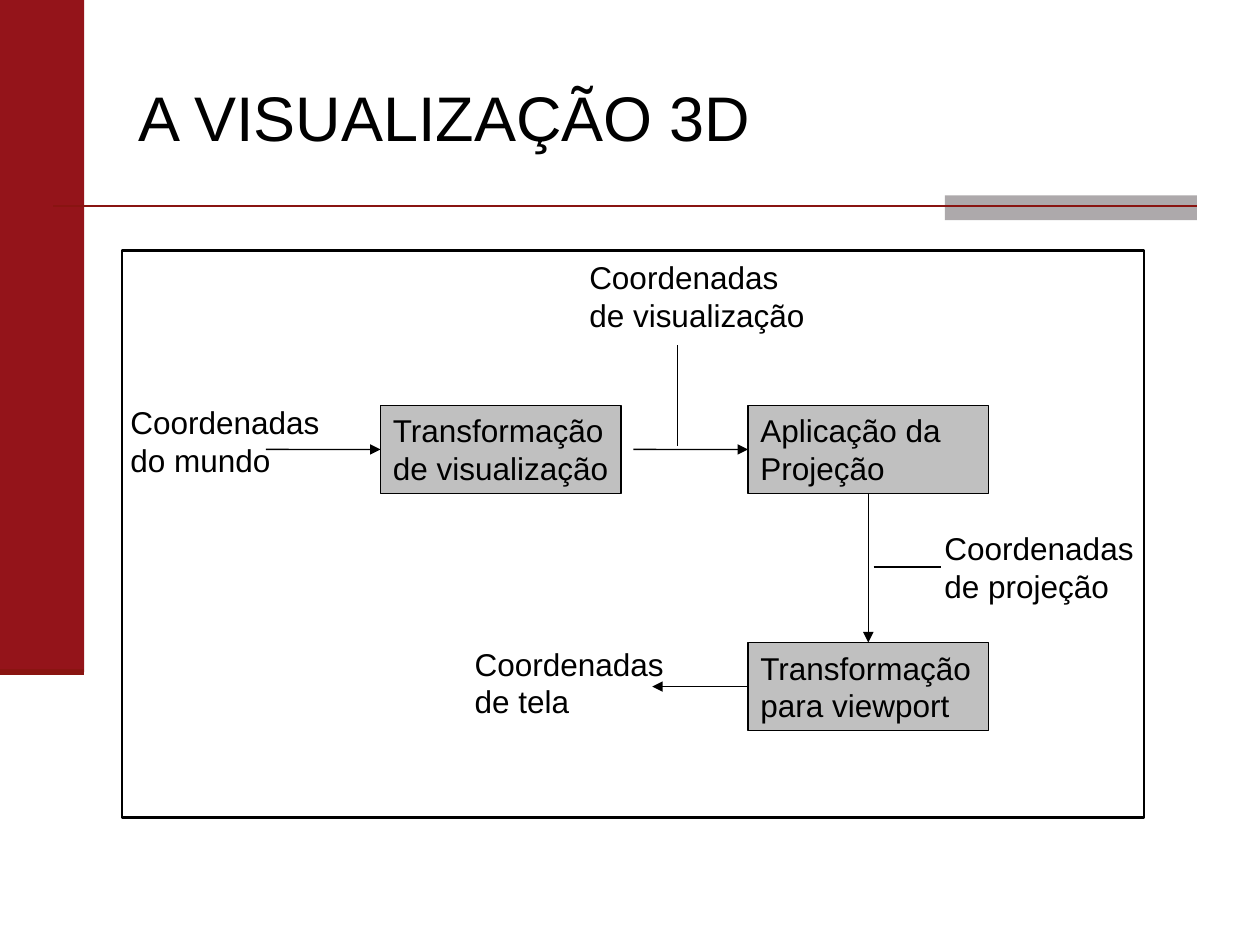
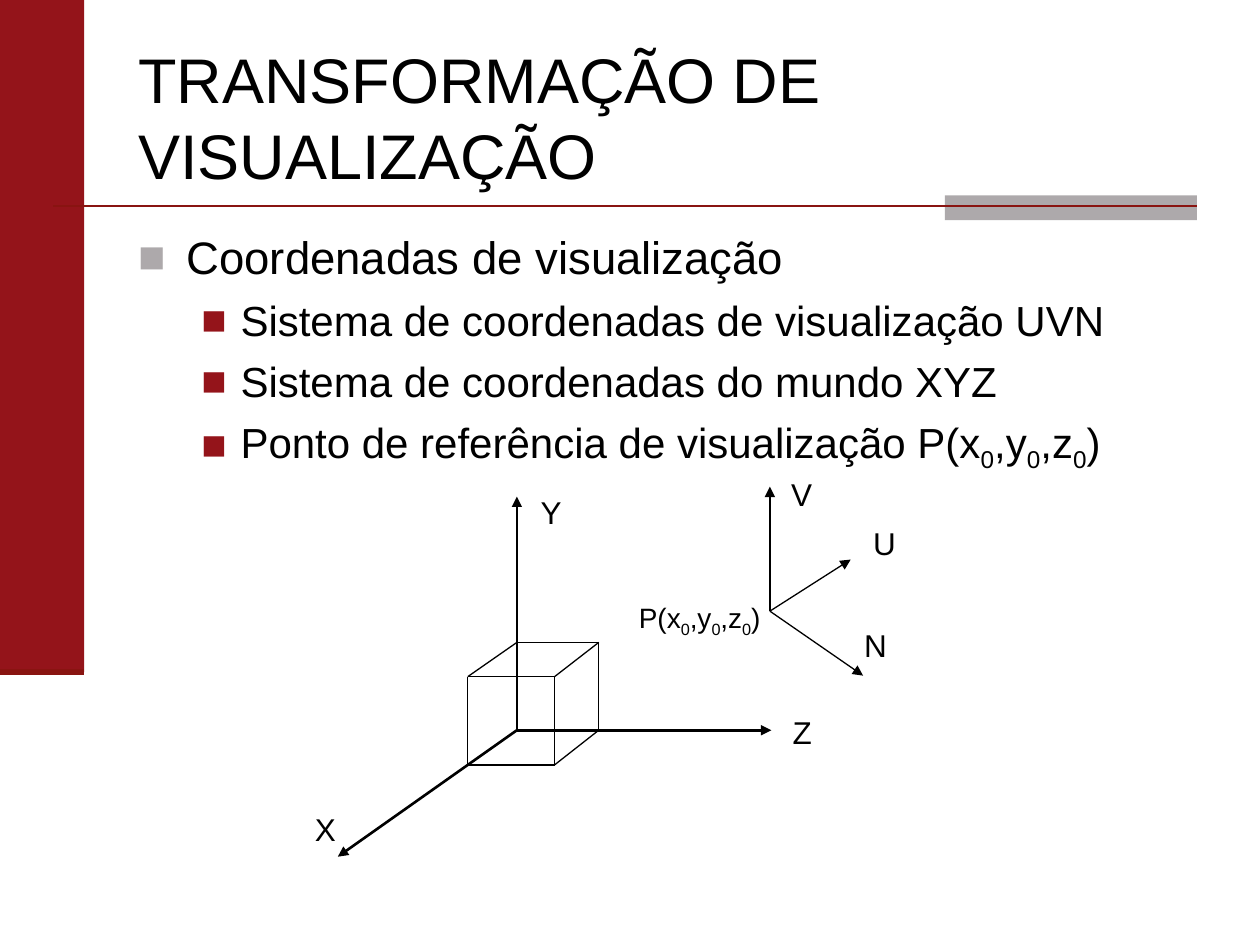
from pptx import Presentation
from pptx.dml.color import RGBColor
from pptx.enum.shapes import MSO_CONNECTOR, MSO_SHAPE
from pptx.enum.text import MSO_ANCHOR, PP_ALIGN
from pptx.oxml.ns import qn
from pptx.util import Cm, Pt
from lxml import etree

RECTANGLE = MSO_SHAPE.RECTANGLE
STRAIGHT = MSO_CONNECTOR.STRAIGHT
TOP, LEFT, BOTTOM = 0, 1, 2

FONT = "Arial"
BLACK = "000000"
RED = "94141A"
DARK_RED = "891411"
GRAY = "ADA9AB"
NODE_GRAY = "C0C0C0"

TITLE_BOX = (2.54, 0.76, 21.59, 3.18)
DIAGRAM_BOX = (2.46, 5.05, 20.6, 11.43)
BODY_BOX = (2.54, 4.5, 21.59, 5.03)
AXES_ORIGIN = (6.1, 9.45)
NODE_SIZE = (4.85, 1.78)

BULLET_LEVELS = [
    {"size": 26, "margin": 0.97, "hanging": 0.97, "before": 0, "color": GRAY},
    {"size": 24, "margin": 2.06, "hanging": 0.79, "before": 6, "color": RED},
]


def rgb(color):
    return RGBColor.from_string(color)


def add_rectangle(slide, box, fill=None, line=None, width=0.75):
    shape = slide.shapes.add_shape(RECTANGLE, *map(Cm, box))
    shape.shadow.inherit = False
    if fill:
        shape.fill.solid()
        shape.fill.fore_color.rgb = rgb(fill)
    else:
        shape.fill.background()
    if line:
        shape.line.color.rgb = rgb(line)
        shape.line.width = Pt(width)
    else:
        shape.line.fill.background()
    return shape


def add_line(slide, start, end, color=BLACK, width=0.75, arrow=False):
    connector = slide.shapes.add_connector(STRAIGHT, *map(Cm, (*start, *end)))
    connector.line.color.rgb = rgb(color)
    connector.line.width = Pt(width)
    if arrow:
        outline = connector.line._get_or_add_ln()
        etree.SubElement(outline, qn("a:tailEnd"), type="triangle")
    etree.SubElement(connector._element.spPr, qn("a:effectLst"))
    return connector


def write(paragraph, text, size):
    """Add the text; the character after each underscore is a subscript."""
    paragraph.alignment = PP_ALIGN.LEFT
    first, *others = text.split("_")
    pieces = [(first, False)]
    for part in others:
        pieces += [(part[0], True), (part[1:], False)]
    for piece, is_subscript in pieces:
        run = paragraph.add_run()
        run.text = piece
        for name, value in {"name": FONT, "size": Pt(size)}.items():
            setattr(run.font, name, value)
        run.font.color.rgb = rgb(BLACK)
        if is_subscript:
            run._r.get_or_add_rPr().set("baseline", "-25000")


def add_text(slide, box, text, size=18, anchor=MSO_ANCHOR.TOP):
    text_box = slide.shapes.add_textbox(*map(Cm, box))
    frame = text_box.text_frame
    frame.word_wrap = True
    frame.vertical_anchor = anchor
    write(frame.paragraphs[0], text, size)


def add_bullet(paragraph, text, level):
    style = BULLET_LEVELS[level]
    paragraph.level = level
    paragraph.space_before = Pt(style["before"])
    properties = paragraph._p.get_or_add_pPr()
    properties.set("marL", str(Cm(style["margin"])))
    properties.set("indent", str(-Cm(style["hanging"])))
    bullet_color = etree.SubElement(properties, qn("a:buClr"))
    etree.SubElement(bullet_color, qn("a:srgbClr"), val=style["color"])
    etree.SubElement(properties, qn("a:buFont"), typeface=FONT)
    etree.SubElement(properties, qn("a:buChar"), char="■")
    write(paragraph, text, style["size"])


def add_base_slide(presentation, title):
    """Add a slide with the side band, the rule and the title."""
    slide = presentation.slides.add_slide(presentation.slide_layouts[6])
    add_rectangle(slide, (0, 0, 1.7, 13.55), RED)
    add_rectangle(slide, (19.05, 3.94, 5.08, 0.5), GRAY)
    add_line(slide, (1.07, 4.15), (24.13, 4.15), DARK_RED, 1.5)
    add_line(slide, (0, 13.55), (1.7, 13.55), DARK_RED, 3.5)
    add_text(slide, TITLE_BOX, title, 36, MSO_ANCHOR.MIDDLE)
    return slide


def add_pipeline(slide, box):
    """Draw the framed flow from world to screen coordinates."""
    left, top = box[:2]
    node_width, node_height = NODE_SIZE
    upper_row, lower_row = 3.12, 7.9
    upper_middle = upper_row + node_height / 2
    lower_middle = lower_row + node_height / 2
    projection_left = 12.62
    projection_center = projection_left + node_width / 2

    def at(x, y):
        return left + x, top + y

    def add_node(x, y, text):
        node = add_rectangle(slide, (*at(x, y), *NODE_SIZE), NODE_GRAY, BLACK)
        frame = node.text_frame
        frame.word_wrap = True
        frame.vertical_anchor = MSO_ANCHOR.TOP
        frame.margin_right = Cm(0.1)
        write(frame.paragraphs[0], text, 18)
        return node

    add_rectangle(slide, box, line=BLACK, width=1.5)
    view_node = add_node(5.21, upper_row, "Transformação de visualização")
    projection_node = add_node(projection_left, upper_row, "Aplicação da Projeção")
    viewport_node = add_node(projection_left, lower_row, "Transformação para viewport")

    for x, y, width, text in [
        (-0.08, 2.95, 4.55, "Coordenadas do mundo"),
        (9.17, 0.03, 4.93, "Coordenadas de visualização"),
        (16.33, 5.49, 4.93, "Coordenadas de projeção"),
        (6.86, 7.82, 4.93, "Coordenadas de tela"),
    ]:
        add_text(slide, (*at(x, y), width, node_height), text)

    for start, end, source, target in [
        ((2.9, upper_middle), (5.21, upper_middle), None, (view_node, LEFT)),
        ((10.31, upper_middle), (projection_left, upper_middle),
         None, (projection_node, LEFT)),
        ((projection_center, upper_row + node_height), (projection_center, lower_row),
         (projection_node, BOTTOM), (viewport_node, TOP)),
        ((projection_left, lower_middle), (10.69, lower_middle),
         (viewport_node, LEFT), None),
    ]:
        arrow = add_line(slide, at(*start), at(*end), arrow=True)
        if source:
            arrow.begin_connect(*source)
        if target:
            arrow.end_connect(*target)

    add_line(slide, at(11.2, 1.91), at(11.2, 3.94))
    add_line(slide, at(15.15, 6.38), at(16.51, 6.38))


def add_body(slide, box, items):
    frame = slide.shapes.add_textbox(*map(Cm, box)).text_frame
    frame.word_wrap = True
    for index, (level, text) in enumerate(items):
        paragraph = frame.add_paragraph() if index else frame.paragraphs[0]
        add_bullet(paragraph, text, level)


def add_axes(slide, origin):
    """Draw the XYZ axes with a cube, and the UVN axes beside them."""
    left, top = origin

    def at(x, y):
        return left + x, top + y

    world = (4.32, 5.27)
    view = (9.42, 2.87)
    for start, end, width in [
        (world, (4.32, 0.56), 1.5),
        (world, (0.71, 7.82), 1.5),
        (world, (9.45, 5.27), 1.5),
        (view, (9.42, 0.36), 0.75),
        (view, (11.05, 1.83), 0.75),
        (view, (11.3, 4.17), 0.75),
    ]:
        add_line(slide, at(*start), at(*end), width=width, arrow=True)

    # Corners clockwise from the top left; the hidden edges lie on the axes.
    front = [(3.33, 4.19), (5.08, 4.19), (5.08, 5.97), (3.33, 5.97)]
    back = [(4.32, 3.5), (5.97, 3.5), (5.97, 5.27)]
    edges = list(zip(front, front[1:] + front[:1]))
    edges += list(zip(back, back[1:])) + list(zip(front, back))
    for start, end in edges:
        add_line(slide, at(*start), at(*end))

    for x, y, text in [
        (0, 6.76, "X"),
        (4.55, 0.36, "Y"),
        (9.63, 4.8, "Z"),
        (11.25, 0.99, "U"),
        (9.6, 0, "V"),
        (11.07, 3.05, "N"),
    ]:
        add_text(slide, (*at(x, y), 1.6, 1.02), text)
    add_text(slide, (*at(6.53, 2.54), 3.53, 0.94), "P(x_0,y_0,z_0)", 16)


def main():
    presentation = Presentation()
    presentation.slide_width = Cm(25.4)
    presentation.slide_height = Cm(19.05)

    pipeline_slide = add_base_slide(presentation, "A VISUALIZAÇÃO 3D")
    add_pipeline(pipeline_slide, DIAGRAM_BOX)

    view_slide = add_base_slide(presentation, "TRANSFORMAÇÃO DE VISUALIZAÇÃO")
    add_body(view_slide, BODY_BOX, [
        (0, "Coordenadas de visualização"),
        (1, "Sistema de coordenadas de visualização UVN"),
        (1, "Sistema de coordenadas do mundo XYZ"),
        (1, "Ponto de referência de visualização P(x_0,y_0,z_0)"),
    ])
    add_axes(view_slide, AXES_ORIGIN)

    presentation.save("out.pptx")


if __name__ == "__main__":
    main()
